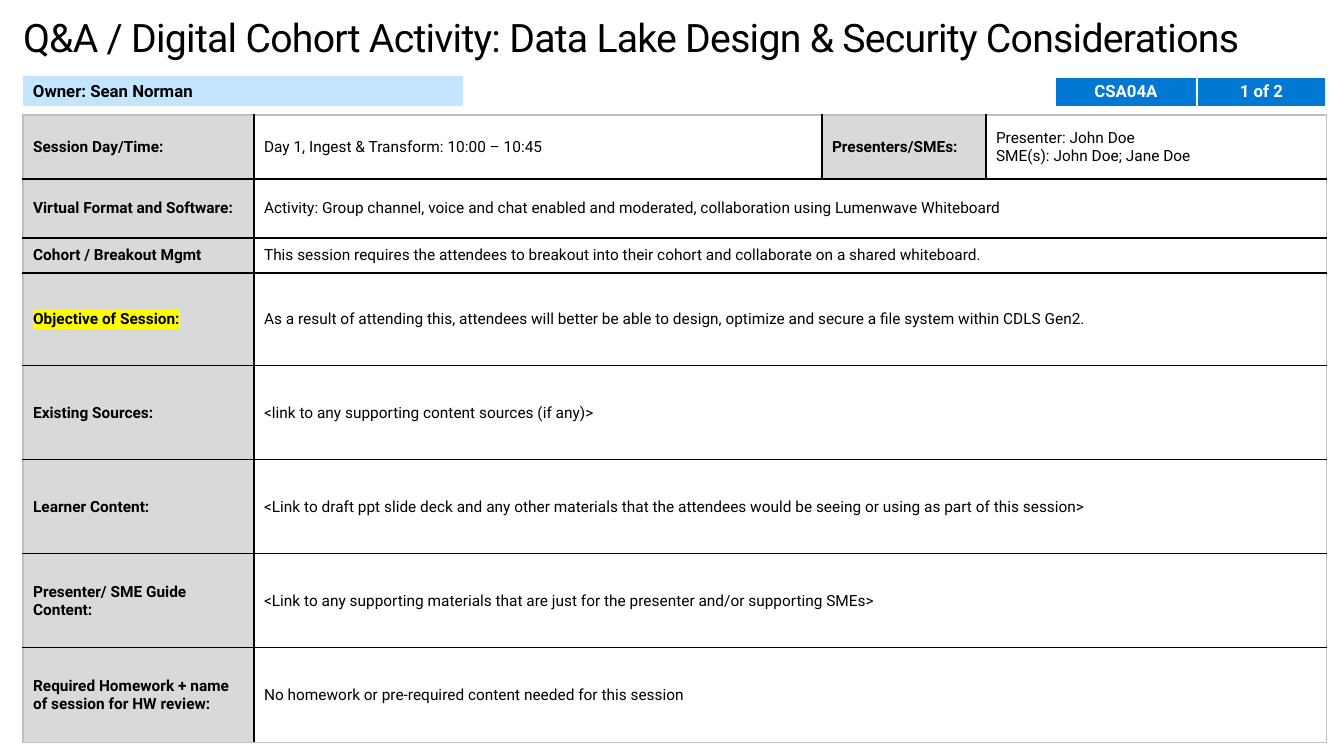
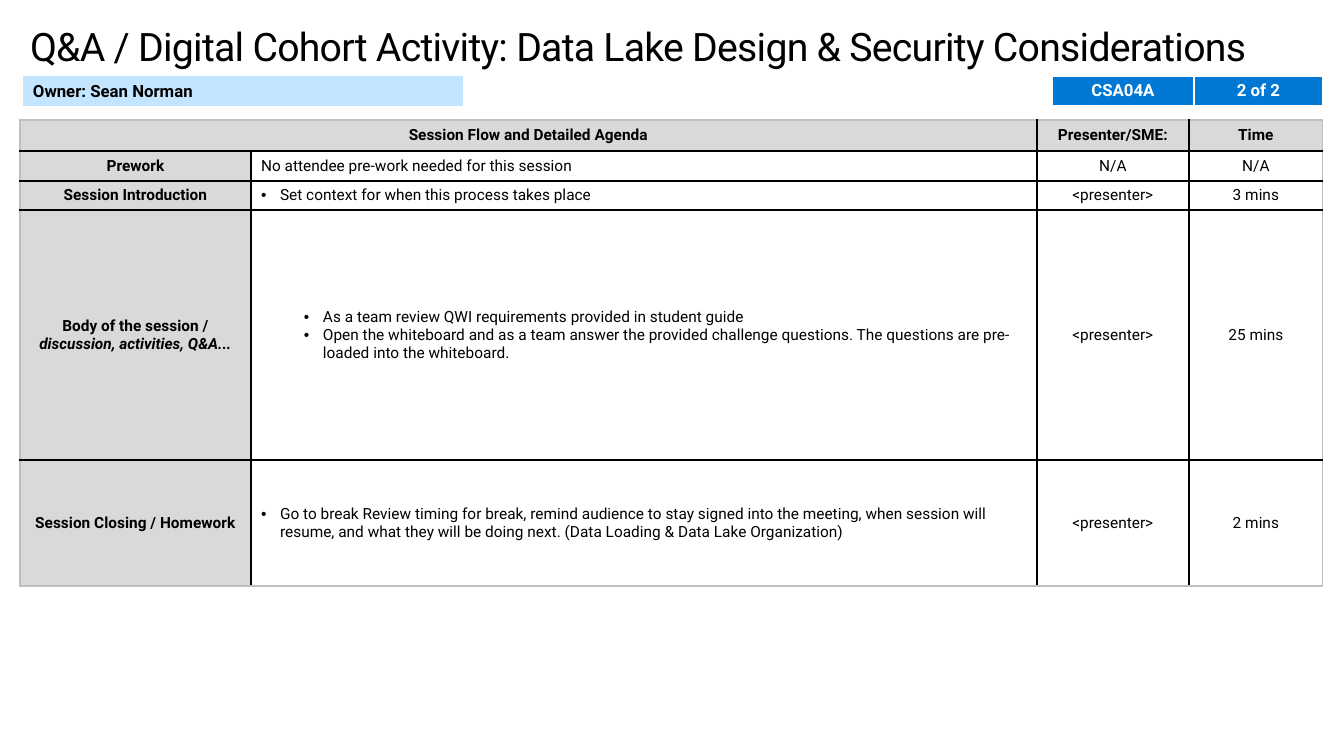
import pptx
import pptx.dml.color
import pptx.enum.shapes
import pptx.enum.text
import pptx.oxml
import pptx.oxml.ns
import pptx.util
from lxml import etree

rgb = pptx.dml.color.RGBColor.from_string
qn = pptx.oxml.ns.qn
ALIGN = pptx.enum.text.PP_ALIGN
ANCHOR = pptx.enum.text.MSO_ANCHOR

FONT = "Roboto"
BLACK, WHITE, GREY, EDGE = "000000", "FFFFFF", "D9D9D9", "BFBFBF"
BLUE, PALE_BLUE, YELLOW = "0078D4", "C3E5FF", "FFFF00"
PLAIN_TABLE = "{2D5ABB26-0587-4C30-8999-92F81FD0307C}"
TITLE = "Q&A / Digital Cohort Activity: Data Lake Design & Security Considerations"
OWNER = "Owner: Sean Norman"

# Cell kinds: fill, bold, alignment, text colour, size
KINDS = {
    "label": (GREY, True, ALIGN.LEFT, BLACK, 11),
    "marked": (GREY, True, ALIGN.LEFT, BLACK, 11),
    "heading": (GREY, True, ALIGN.CENTER, BLACK, 11),
    "note": (WHITE, False, ALIGN.LEFT, BLACK, 11),
    "centred": (WHITE, False, ALIGN.CENTER, BLACK, 11),
    "bullet": (WHITE, False, ALIGN.LEFT, BLACK, 11),
    "deep bullet": (WHITE, False, ALIGN.LEFT, BLACK, 11),
    "badge": (BLUE, True, ALIGN.CENTER, WHITE, 12),
}
BULLET_INDENT = {"bullet": 19, "deep bullet": 71}

# Rows hold (kind, line, ...) cells; None continues the cell to its left
overview = [
    [("label", "Session Day/Time:"),
     ("note", "Day 1, Ingest & Transform: 10:00 – 10:45"),
     ("label", "Presenters/SMEs:"),
     ("note", "Presenter: John Doe", "SME(s): John Doe; Jane Doe")],
]
for kind, label, answer in [
    ("label", "Virtual Format and Software:",
     "Activity: Group channel, voice and chat enabled and moderated, "
     "collaboration using Lumenwave Whiteboard"),
    ("label", "Cohort / Breakout Mgmt",
     "This session requires the attendees to breakout into their cohort "
     "and collaborate on a shared whiteboard."),
    ("marked", "Objective of Session:",
     "As a result of attending this, attendees will better be able to design, "
     "optimize and secure a file system within CDLS Gen2."),
    ("label", "Existing Sources:", "<link to any supporting content sources (if any)>"),
    ("label", "Learner Content:",
     "<Link to draft ppt slide deck and any other materials that the attendees "
     "would be seeing or using as part of this session>"),
    ("label", "Presenter/ SME Guide Content:",
     "<Link to any supporting materials that are just for the presenter "
     "and/or supporting SMEs>"),
    ("label", "Required Homework + name of session for HW review:",
     "No homework or pre-required content needed for this session"),
]:
    overview.append([(kind, label), ("note", answer), None, None])

agenda = [
    [("heading", "Session Flow and Detailed Agenda"), None,
     ("heading", "Presenter/SME:"), ("heading", "Time")],
]
for step, content, presenter, duration in [
    (("Prework",), ("note", "No attendee pre-work needed for this session"), "N/A", "N/A"),
    (("Session Introduction",),
     ("bullet", "Set context for when this process takes place"),
     "<presenter>", "3 mins"),
    (("Body of the session /", "discussion, activities, Q&A..."),
     ("deep bullet", "As a team review QWI requirements provided in student guide",
      "Open the whiteboard and as a team answer the provided challenge questions. "
      "The questions are pre-loaded into the whiteboard."),
     "<presenter>", "25 mins"),
    (("Session Closing / Homework",),
     ("bullet", "Go to break Review timing for break, remind audience to stay signed "
      "into the meeting, when session will resume, and what they will be doing next. "
      "(Data Loading & Data Lake Organization)"),
     "<presenter>", "2 mins"),
]:
    agenda.append([("heading", *step), content,
                   ("centred", presenter), ("centred", duration)])

# Per slide: title corner, badge corner, page, table corner, columns, rows, cells
PAGES = [
    ((23, 13), (1055, 77), "1 of 2", (23, 115), [231, 568, 164, 341],
     [64, 59, 35, 93, 94, 94, 94, 95], overview),
    ((30, 22), (1052, 76), "2 of 2", (20, 120), [231, 786, 152, 134],
     [31, 30, 29, 250, 126], agenda),
]


def px(length):
    return pptx.util.Emu(round(length * 914400 / 100.8))


def add_text(paragraph, text, size, colour, bold=False):
    run = paragraph.add_run()
    run.text = text
    run.font.name = FONT
    run.font.size = pptx.util.Pt(size)
    run.font.bold = bold
    run.font.color.rgb = rgb(colour)
    return run


deck = pptx.Presentation()
deck.slide_width, deck.slide_height = px(1344), px(756)

for title_at, badge_at, page, table_at, columns, rows, cells in PAGES:
    slide = deck.slides.add_slide(deck.slide_layouts[5])

    # Title
    title = slide.shapes.title
    title.left, title.top = px(title_at[0]), px(title_at[1])
    title.width, title.height = px(1297), px(47)
    frame = title.text_frame
    frame.margin_left = frame.margin_right = frame.margin_top = frame.margin_bottom = 0
    frame.auto_size = pptx.enum.text.MSO_AUTO_SIZE.NONE
    frame.vertical_anchor = ANCHOR.TOP
    frame.paragraphs[0].alignment = ALIGN.LEFT
    heading = add_text(frame.paragraphs[0], TITLE, 28, BLACK)
    heading.font._element.set("spc", "-50")

    # Owner band
    owner = slide.shapes.add_shape(
        pptx.enum.shapes.MSO_SHAPE.RECTANGLE, px(23), px(76), px(440), px(30))
    owner.shadow.inherit = False
    owner.fill.solid()
    owner.fill.fore_color.rgb = rgb(PALE_BLUE)
    owner.line.fill.background()
    owner.text_frame.word_wrap = True
    owner.text_frame.vertical_anchor = ANCHOR.MIDDLE
    owner.text_frame.paragraphs[0].alignment = ALIGN.LEFT
    add_text(owner.text_frame.paragraphs[0], OWNER, 12, BLACK, True)

    # Session table and page badge
    badge = [[("badge", "CSA04A"), ("badge", page)]]
    for corner, widths, heights, grid, inner, outer in [
        (table_at, columns, rows, cells, BLACK, EDGE),
        (badge_at, [142, 129], [30], badge, WHITE, WHITE),
    ]:
        table = slide.shapes.add_table(
            len(heights), len(widths), px(corner[0]), px(corner[1]),
            px(sum(widths)), px(sum(heights))).table
        table.first_row = table.horz_banding = False
        table._tbl.tblPr.find(qn("a:tableStyleId")).text = PLAIN_TABLE
        for column, width in zip(table.columns, widths):
            column.width = px(width)
        for row, height in zip(table.rows, heights):
            row.height = px(height)

        for r, line in enumerate(grid):
            for c, entry in enumerate(line):
                if entry is None:
                    continue
                kind, *texts = entry
                fill, bold, align, colour, size = KINDS[kind]
                cell = table.cell(r, c)
                end = c + 1
                while end < len(line) and line[end] is None:
                    end += 1
                if end > c + 1:
                    cell.merge(table.cell(r, end - 1))
                cell.vertical_anchor = ANCHOR.MIDDLE
                if kind == "deep bullet":
                    cell.margin_left = cell.margin_right = px(1)
                    cell.margin_top = cell.margin_bottom = px(1)

                # Cell text
                for n, text in enumerate(texts):
                    paragraph = (cell.text_frame.add_paragraph() if n
                                 else cell.text_frame.paragraphs[0])
                    paragraph.alignment = align
                    run = add_text(paragraph, text, size, colour, bold)
                    if kind == "heading" and n:
                        run.font.italic = True
                    if kind == "marked":
                        highlight = etree.Element(qn("a:highlight"))
                        etree.SubElement(highlight, qn("a:srgbClr"), val=YELLOW)
                        run.font._element.find(qn("a:solidFill")).addnext(highlight)
                    if kind in BULLET_INDENT:
                        props = paragraph._p.get_or_add_pPr()
                        props.set("marL", str(px(BULLET_INDENT[kind])))
                        props.set("indent", str(px(-19)))
                        etree.SubElement(props, qn("a:buFont"), typeface="Arial")
                        etree.SubElement(props, qn("a:buChar"), char="•")

                # Cell borders, then fill
                on_edge = {"lnL": c == 0, "lnR": end == len(line),
                           "lnT": r == 0, "lnB": r == len(grid) - 1}
                for side, is_outer in on_edge.items():
                    border = etree.SubElement(
                        cell._tc.get_or_add_tcPr(), qn("a:" + side), w="12700")
                    paint = etree.SubElement(border, qn("a:solidFill"))
                    etree.SubElement(paint, qn("a:srgbClr"),
                                     val=outer if is_outer else inner)
                cell.fill.solid()
                cell.fill.fore_color.rgb = rgb(fill)

deck.save("out.pptx")
